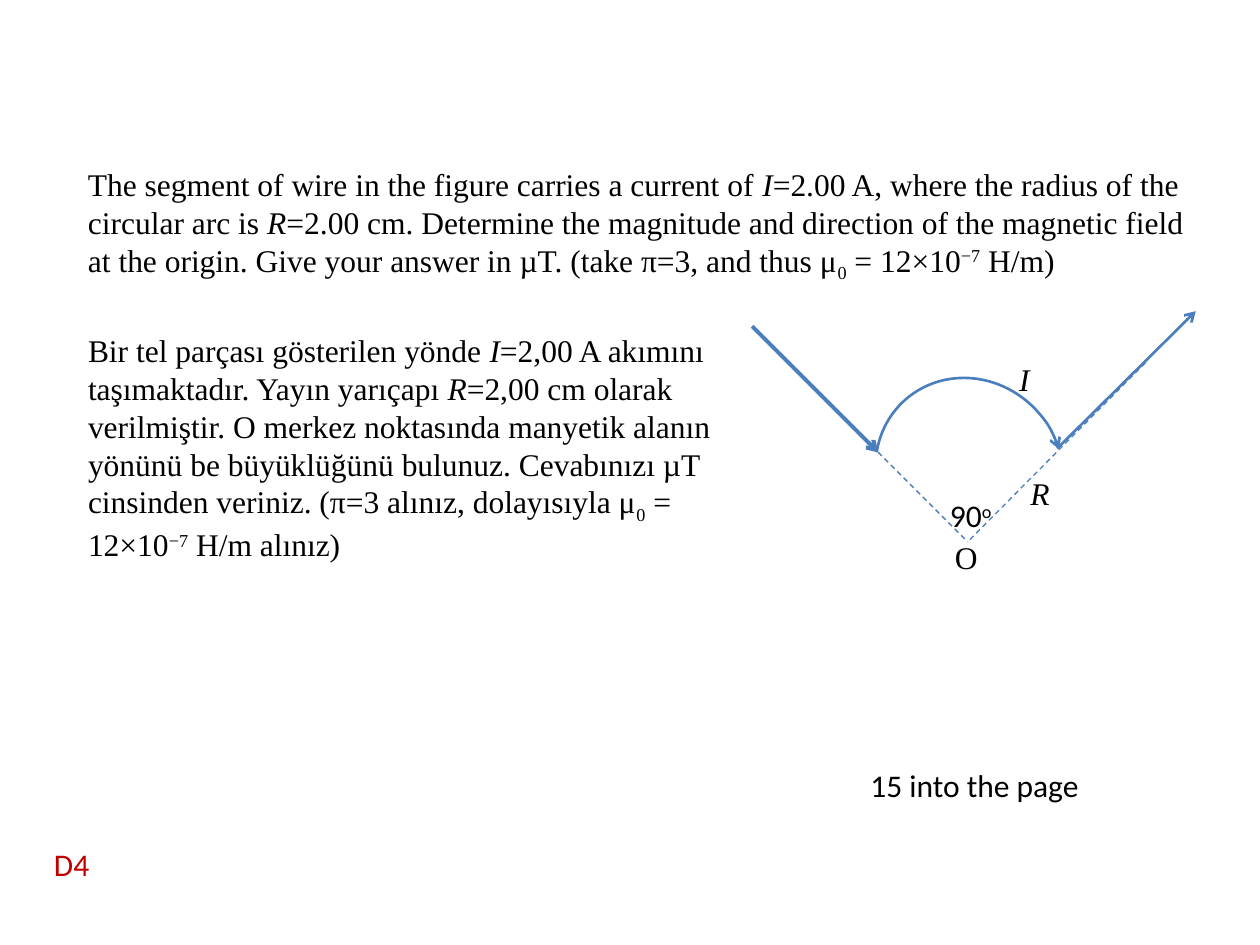
from dataclasses import dataclass

from lxml.etree import SubElement
from pptx import Presentation
from pptx.dml.color import RGBColor as Color
from pptx.enum.dml import MSO_LINE as Dash
from pptx.enum.shapes import MSO_CONNECTOR as Connector, MSO_SHAPE as Shape
from pptx.enum.text import MSO_AUTO_SIZE as AutoSize
from pptx.oxml.ns import qn
from pptx.util import Inches, Pt


@dataclass(frozen=True)
class Theme:
    ink: str = "000000"
    answer: str = "C00000"
    wire: str = "4B7EBC"
    serif: str = "Times New Roman"
    sans: str = "Calibri"
    text_size: float = 18
    thin: float = 0.75
    medium: float = 1.5
    thick: float = 2.25


# Run styles
PLAIN = {}
ITALIC = {"italic": True}
SUB = {"baseline": -25000}
SUPER = {"baseline": 30000}


class SlideBuilder:
    def __init__(self, slide, theme):
        self.slide = slide
        self.theme = theme

    def text(self, box, runs, font=None, color=None, wrap=True):
        shape = self.slide.shapes.add_textbox(*map(Inches, box))
        frame = shape.text_frame
        frame.word_wrap = wrap
        frame.auto_size = AutoSize.SHAPE_TO_FIT_TEXT
        paragraph = frame.paragraphs[0]
        for words, style in runs:
            run = paragraph.add_run()
            run.text = words
            format_values = {
                "name": font or self.theme.serif,
                "size": Pt(self.theme.text_size),
                "italic": style.get("italic", False),
            }
            for name, value in format_values.items():
                setattr(run.font, name, value)
            run.font.color.rgb = Color.from_string(color or self.theme.ink)
            if "baseline" in style:
                run._r.get_or_add_rPr().set("baseline", str(style["baseline"]))

    def outline(self, shape, width, dash=None, arrow=False):
        line = shape.line
        line.color.rgb = Color.from_string(self.theme.wire)
        for name, value in {"width": Pt(width), "dash_style": dash}.items():
            setattr(line, name, value)
        if arrow:
            SubElement(line._get_or_add_ln(), qn("a:tailEnd"), type="arrow")

    def line(self, start, end, width, **style):
        connector = self.slide.shapes.add_connector(
            Connector.STRAIGHT, *map(Inches, (*start, *end)))
        self.outline(connector, width, **style)
        SubElement(connector._element.spPr, qn("a:effectLst"))

    def arc(self, box, rotation, angles, width, **style):
        shape = self.slide.shapes.add_shape(Shape.ARC, *map(Inches, box))
        shape.rotation = rotation
        for index, angle in enumerate(angles):
            shape.adjustments[index] = angle
        shape.fill.background()
        shape.shadow.inherit = False
        self.outline(shape, width, **style)


def problem_runs(opening, after_current, after_radius, closing):
    """Both languages share the same pattern of symbols."""
    return [
        (opening, PLAIN), ("I", ITALIC), (after_current, PLAIN),
        ("R", ITALIC), (after_radius, PLAIN), ("0", SUB),
        (" = 12×10", PLAIN), ("−7", SUPER), (closing, PLAIN),
    ]


def main():
    presentation = Presentation()
    presentation.slide_width = Inches(10)
    presentation.slide_height = Inches(7.5)
    theme = Theme()
    slide = presentation.slides.add_slide(presentation.slide_layouts[6])
    builder = SlideBuilder(slide, theme)

    # Answer
    builder.text((6.81, 6.03, 1.94, 0.4), [("15 into the page", PLAIN)], theme.sans)

    # Problem in English
    builder.text((0.6, 1.26, 9.06, 1.01), problem_runs(
        "The segment of wire in the figure carries a current of ",
        "=2.00 A, where the radius of the circular arc is ",
        "=2.00 cm. Determine the magnitude and direction of the magnetic field "
        "at the origin. Give your answer in µT. (take π=3, and thus μ",
        " H/m)"))

    # Radii, straight wires and arc
    origin = (7.68, 4.3)
    for radius_start in ((6.26, 2.88), (9.09, 2.88)):
        builder.line(radius_start, origin, theme.thin, dash=Dash.DASH)
    builder.line((5.97, 2.59), (6.97, 3.59), theme.thick, arrow=True)
    builder.line((8.39, 3.56), (9.49, 2.47), theme.medium, arrow=True)
    builder.arc((6.97, 2.98, 1.45, 1.54), 318, (140.558, 16.375),
                theme.medium, arrow=True)

    # Figure labels
    labels = [
        ((7.99, 2.81, 0.29, 0.4), [("I", ITALIC)], theme.serif),
        ((7.44, 3.89, 0.55, 0.4), [("90", PLAIN), ("o", SUPER)], theme.sans),
        ((8.08, 3.71, 0.36, 0.4), [("R", ITALIC)], theme.serif),
        ((7.48, 4.22, 0.38, 0.4), [("O", PLAIN)], theme.serif),
    ]
    for box, runs, font in labels:
        builder.text(box, runs, font, wrap=False)

    # Problem in Turkish
    builder.text((0.6, 2.58, 5.32, 1.92), problem_runs(
        "Bir tel parçası gösterilen yönde ",
        "=2,00 A akımını taşımaktadır. Yayın yarıçapı ",
        "=2,00 cm olarak verilmiştir. O merkez noktasında manyetik alanın "
        "yönünü be büyüklüğünü bulunuz. Cevabınızı µT cinsinden veriniz. "
        "(π=3 alınız, dolayısıyla μ",
        " H/m alınız)"))

    # Question code
    builder.text((0.33, 6.66, 0.74, 0.4), [("D4", PLAIN)], theme.sans, theme.answer)

    presentation.save("out.pptx")


if __name__ == "__main__":
    main()
